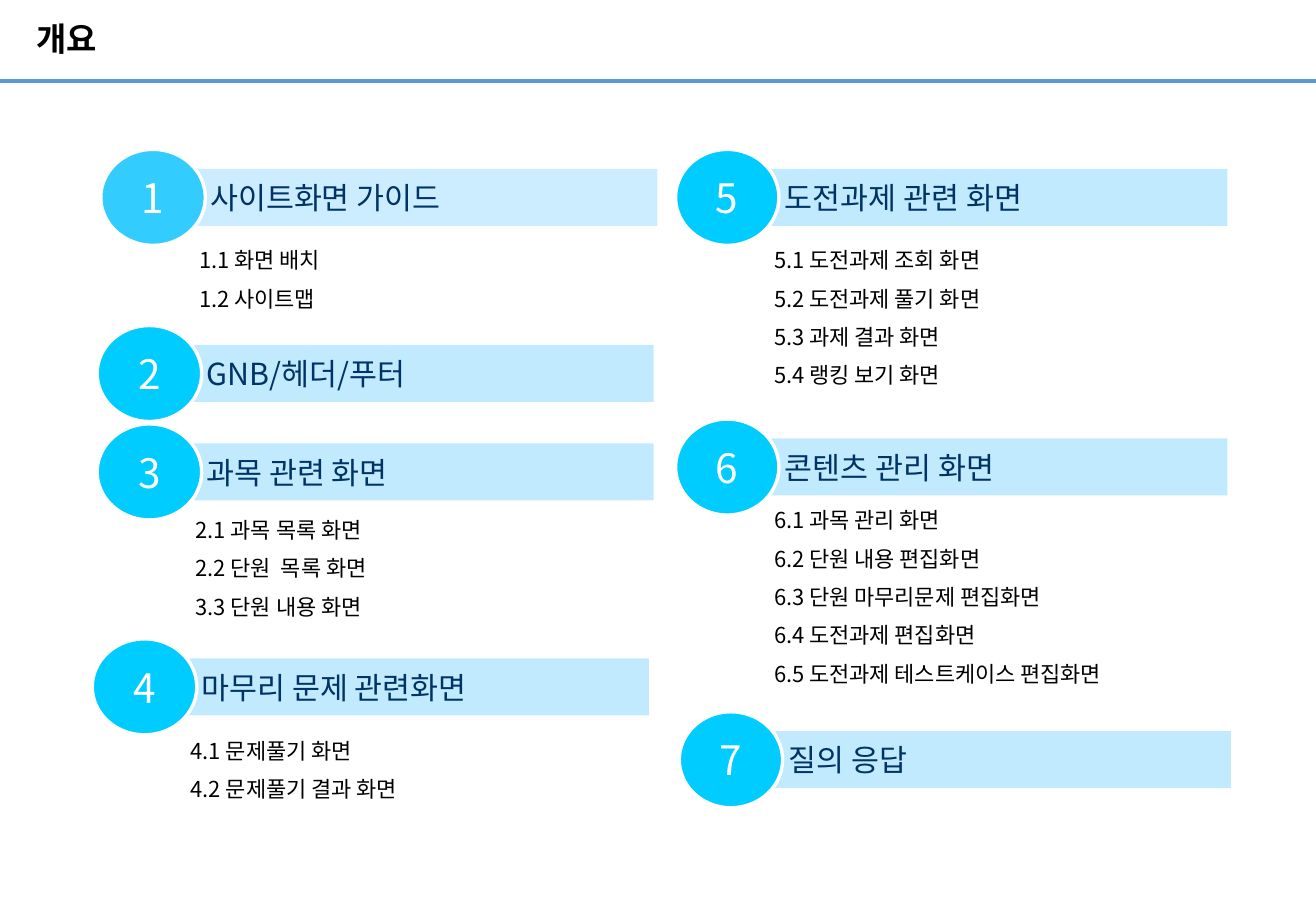
from pptx import Presentation
from pptx import util as u
from pptx.dml import color
from pptx.enum import shapes, text
from pptx.oxml import ns, xmlchemy

COLORS = {
    "rule": "5B9BD5", "title": "000000", "item": "000000", "heading": "003366",
    "bar": "C1EAFF", "first_bar": "CCECFF",
    "circle": "00CCFF", "first_circle": "33CCFF", "white": "FFFFFF",
}
BODY_FONT = "Noto Sans CJK KR"
LEFT_COLUMN = {"bar": 4.23, "circle": 0.86}
RIGHT_COLUMN = {"bar": 4.19, "circle": 0.85}

SECTIONS = [
    (1, LEFT_COLUMN, 0.83, 1.23, "사이트화면 가이드", 1.94,
     ["1.1 화면 배치", "1.2 사이트맵"]),
    (2, LEFT_COLUMN, 0.8, 2.68, "GNB/헤더/푸터", None, []),
    (3, LEFT_COLUMN, 0.8, 3.49, "과목 관련 화면", 4.16,
     ["2.1 과목 목록 화면", "2.2 단원  목록 화면", "3.3 단원 내용 화면"]),
    (4, LEFT_COLUMN, 0.76, 5.26, "마무리 문제 관련화면", 5.98,
     ["4.1 문제풀기 화면", "4.2 문제풀기 결과 화면"]),
    (5, RIGHT_COLUMN, 5.56, 1.23, "도전과제 관련 화면", 1.94,
     ["5.1 도전과제 조회 화면", "5.2 도전과제 풀기 화면",
      "5.3 과제 결과 화면", "5.4 랭킹 보기 화면"]),
    (6, RIGHT_COLUMN, 5.56, 3.45, "콘텐츠 관리 화면", 4.08,
     ["6.1 과목 관리 화면", "6.2 단원 내용 편집화면", "6.3 단원 마무리문제 편집화면",
      "6.4 도전과제 편집화면", "6.5 도전과제 테스트케이스 편집화면"]),
    (7, RIGHT_COLUMN, 5.59, 5.86, "질의 응답", None, []),
]


class OverviewSlide:
    """Hold the style and the current slide, and draw its elements."""

    def __init__(self, slide):
        self.slide = slide

    def rgb(self, name):
        return color.RGBColor.from_string(COLORS[name])

    def style(self, paragraph, size, color_name, align, font=BODY_FONT, bold=False):
        paragraph.alignment = align
        paragraph.font.size = u.Pt(size)
        paragraph.font.bold = bold
        paragraph.font.name = font
        paragraph.font.color.rgb = self.rgb(color_name)
        defaults = paragraph._p.pPr.find(ns.qn("a:defRPr"))
        east_asian = xmlchemy.OxmlElement("a:ea")
        east_asian.set("typeface", font)
        defaults.append(east_asian)

    def frame(self, shape, insets, wrap, anchor):
        frame = shape.text_frame
        frame.margin_left, frame.margin_top, frame.margin_right, frame.margin_bottom = (
            u.Inches(inset) for inset in insets)
        frame.word_wrap = wrap
        frame.vertical_anchor = anchor
        return frame

    def box(self, left, top, width, height):
        return self.slide.shapes.add_textbox(
            u.Inches(left), u.Inches(top), u.Inches(width), u.Inches(height))

    def rule(self, top, width):
        line = self.slide.shapes.add_connector(
            shapes.MSO_CONNECTOR.STRAIGHT, 0, u.Inches(top), u.Inches(width), u.Inches(top))
        line.line.color.rgb = self.rgb("rule")
        line.line.width = u.Pt(2.25)
        line._element.spPr.append(xmlchemy.OxmlElement("a:effectLst"))

    def title(self, words):
        frame = self.frame(self.box(0.3, 0, 7.09, 0.68), (0, 0, 0, 0), True,
                           text.MSO_ANCHOR.MIDDLE)
        paragraph = frame.paragraphs[0]
        paragraph.text = words
        paragraph.line_spacing = 0.9
        self.style(paragraph, 19.5, "title", text.PP_ALIGN.LEFT, "Arial", True)

    def label(self, kind, place, fill, words, size, color_name, align, insets):
        shape = self.slide.shapes.add_shape(kind, *(u.Inches(length) for length in place))
        shape.shadow.inherit = False
        shape.fill.solid()
        shape.fill.fore_color.rgb = self.rgb(fill)
        shape.line.fill.background()
        frame = self.frame(shape, insets, False, text.MSO_ANCHOR.MIDDLE)
        frame.paragraphs[0].text = words
        self.style(frame.paragraphs[0], size, color_name, align)
        return shape

    def heading(self, number, column, left, top, words):
        prefix = "first_" if number == 1 else ""
        self.label(shapes.MSO_SHAPE.RECTANGLE, (left + 0.35, top + 0.16, column["bar"], 0.47),
                   prefix + "bar", words, 18, "heading", text.PP_ALIGN.LEFT,
                   (0.55, 0.05, 0.1, 0.05))
        circle = self.label(shapes.MSO_SHAPE.OVAL, (left, top, column["circle"], 0.79),
                            prefix + "circle", str(number), 24, "white",
                            text.PP_ALIGN.CENTER, (0.1, 0.05, 0.1, 0.05))
        circle.line.color.rgb = self.rgb("white")
        circle.line.width = u.Pt(2)

    def items(self, left, top, lines):
        shape = self.box(left, top, 3.74, 0.39 * len(lines) - 0.06)
        frame = self.frame(shape, (0.02, 0.05, 0.02, 0.05), True, text.MSO_ANCHOR.TOP)
        frame.auto_size = text.MSO_AUTO_SIZE.SHAPE_TO_FIT_TEXT
        for index, line in enumerate(lines):
            paragraph = frame.add_paragraph() if index else frame.paragraphs[0]
            paragraph.text = line
            paragraph.line_spacing = 1.2
            paragraph.space_before = u.Pt(4 if index else 0)
            self.style(paragraph, 13, "item", text.PP_ALIGN.JUSTIFY)


def main():
    presentation = Presentation()
    presentation.slide_width = u.Inches(10.83)
    presentation.slide_height = u.Inches(7.5)
    overview = OverviewSlide(presentation.slides.add_slide(presentation.slide_layouts[6]))
    overview.rule(0.67, 10.83)
    overview.title("개요")
    for number, column, left, top, words, items_top, lines in SECTIONS:
        overview.heading(number, column, left, top, words)
        if lines:
            overview.items(left + 0.79, items_top, lines)
    presentation.save("out.pptx")


if __name__ == "__main__":
    main()
